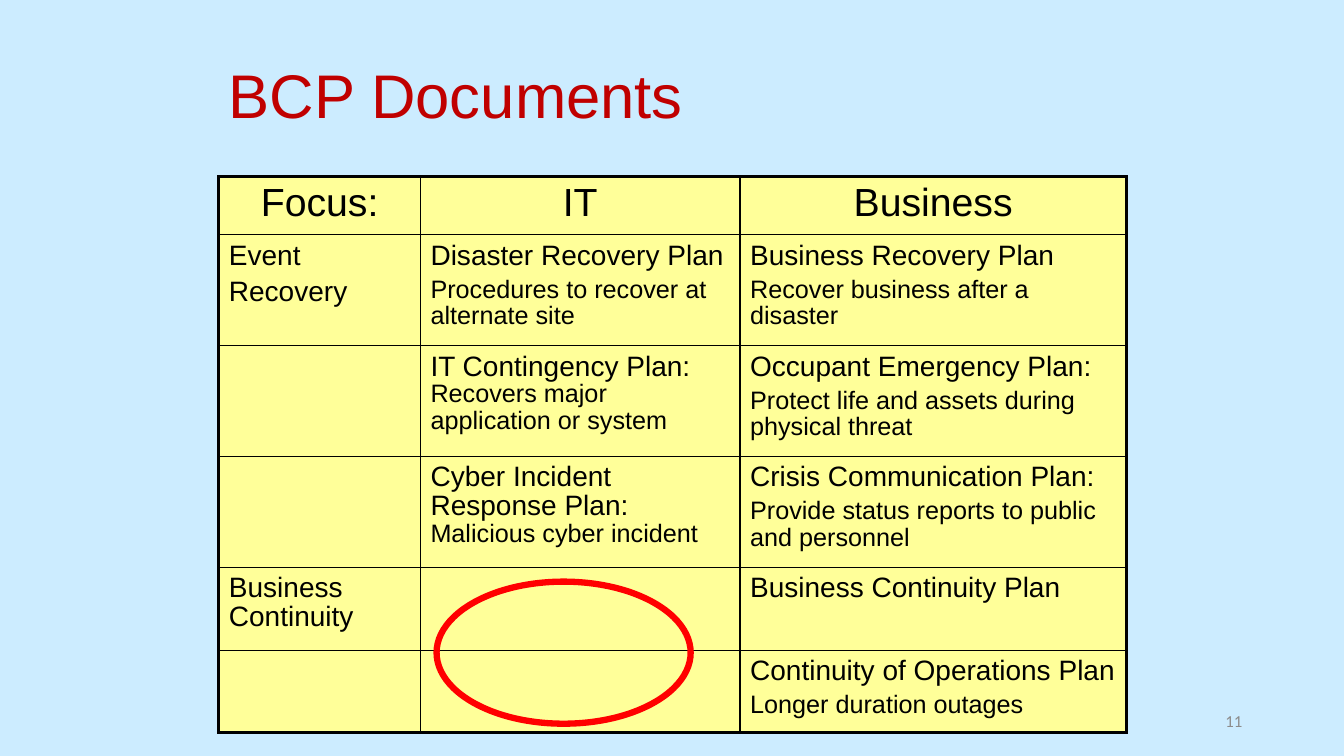
"""Build the BCP Documents slide: a table of plans by focus, with a highlight ring."""
from lxml.etree import SubElement
from pptx import Presentation
from pptx.dml.color import RGBColor
from pptx.enum.shapes import MSO_SHAPE
from pptx.enum.text import MSO_ANCHOR, PP_ALIGN
from pptx.oxml.ns import qn
from pptx.util import Inches, Pt

SKY = RGBColor(0xCC, 0xEC, 0xFF)
YELLOW = RGBColor(0xFF, 0xFF, 0x99)
BLACK = RGBColor(0, 0, 0)
CRIMSON = RGBColor(0xC0, 0, 0)
RED = RGBColor(0xFF, 0, 0)
GRAY = RGBColor(0x8C, 0x8C, 0x8C)

HEAD, PLAN, NOTE = 28, 20, 18
THIN, THICK = 1, 2.25
SPACE = {PLAN: 5, NOTE: 4.5}


def plan(name, note):
    return [[(name, PLAN)], [(note, NOTE)]]


ROWS = [
    [[[(name, HEAD)]] for name in ("Focus:", "IT", "Business")],
    [[[("Event", PLAN)], [("Recovery", PLAN)]],
     plan("Disaster Recovery Plan", "Procedures to recover at alternate site"),
     plan("Business Recovery Plan", "Recover business after a disaster")],
    [[],
     [[("IT Contingency Plan: ", PLAN), ("Recovers major application or system", NOTE)]],
     plan("Occupant Emergency Plan:", "Protect life and assets during physical threat")],
    [[],
     [[("Cyber Incident Response Plan: ", PLAN), ("Malicious cyber incident", NOTE)]],
     plan("Crisis Communication Plan:", "Provide status reports to public and personnel")],
    [[[("Business Continuity", PLAN)]], [], [[("Business Continuity Plan", PLAN)]]],
    [[], [], plan("Continuity of Operations Plan", "Longer duration outages")],
]
COLUMN_WIDTHS = [2, 3.17, 3.83]
ROW_HEIGHTS = [0.58, 1.1, 1.1, 1.1, 0.82, 0.82]
TABLE_LEFT, TABLE_TOP = 2.17, 1.75

LABELS = [
    ("BCP Documents", (2.17, 0.5, 9, 0.86), PP_ALIGN.LEFT,
     {"name": "Arial", "size": Pt(44)}, CRIMSON),
    ("11", (9.42, 6.95, 3, 0.4), PP_ALIGN.RIGHT,
     {"name": "Calibri", "size": Pt(12)}, GRAY),
]
RING = (4.33, 5.77, 2.52, 1.41)


def style(target, values):
    for name, value in values.items():
        setattr(target, name, value)


def add_run(p, text, font, color):
    r = p.add_run()
    r.text = text
    style(r.font, font)
    r.font.color.rgb = color


def add_label(slide, text, box, align, font, color):
    tf = slide.shapes.add_textbox(*map(Inches, box)).text_frame
    style(tf, {"word_wrap": True, "vertical_anchor": MSO_ANCHOR.MIDDLE})
    p = tf.paragraphs[0]
    p.alignment = align
    add_run(p, text, font, color)


def set_borders(cell, widths):
    tc_pr = cell._tc.get_or_add_tcPr()
    for i, (side, width) in enumerate(widths.items()):
        ln = SubElement(tc_pr, qn(f"a:ln{side}"), w=str(Pt(width)))
        fill = SubElement(ln, qn("a:solidFill"))
        SubElement(fill, qn("a:srgbClr"), val=str(BLACK))
        tc_pr.insert(i, ln)


def fill_cell(cell, paragraphs, is_head):
    style(cell, {"margin_left": Inches(0.1), "margin_right": Inches(0.1),
                 "margin_top": Inches(0.08 if is_head else 0.07),
                 "margin_bottom": Inches(0.05)})
    cell.fill.solid()
    cell.fill.fore_color.rgb = YELLOW
    tf = cell.text_frame
    for i, runs in enumerate(paragraphs):
        p = tf.add_paragraph() if i else tf.paragraphs[0]
        p.line_spacing = 0.93
        p.alignment = PP_ALIGN.CENTER if is_head else PP_ALIGN.LEFT
        if i:
            p.space_before = Pt(SPACE[runs[0][1]])
        for text, size in runs:
            add_run(p, text, {"name": "Arial", "size": Pt(size)}, BLACK)


def add_plan_table(slide):
    last_row, last_col = len(ROW_HEIGHTS) - 1, len(COLUMN_WIDTHS) - 1
    box = (TABLE_LEFT, TABLE_TOP, sum(COLUMN_WIDTHS), sum(ROW_HEIGHTS))
    table = slide.shapes.add_table(last_row + 1, last_col + 1, *map(Inches, box)).table
    style(table, {"first_row": False, "horz_banding": False})
    for column, width in zip(table.columns, COLUMN_WIDTHS):
        column.width = Inches(width)
    for i, (row, height) in enumerate(zip(table.rows, ROW_HEIGHTS)):
        row.height = Inches(height)
        for j, cell in enumerate(row.cells):
            fill_cell(cell, ROWS[i][j], i == 0)
            outer = {"L": j == 0, "R": j == last_col, "T": i == 0, "B": i == last_row}
            set_borders(cell, {side: THICK if edge else THIN
                               for side, edge in outer.items()})


def main():
    prs = Presentation()
    style(prs, {"slide_width": Inches(13.33), "slide_height": Inches(7.5)})
    s = prs.slides.add_slide(prs.slide_layouts[6])
    s.background.fill.solid()
    s.background.fill.fore_color.rgb = SKY
    add_plan_table(s)
    for label in LABELS:
        add_label(s, *label)
    ring = s.shapes.add_shape(MSO_SHAPE.OVAL, *map(Inches, RING))
    ring.shadow.inherit = False
    ring.fill.background()
    ring.line.color.rgb = RED
    ring.line.width = Pt(4.5)
    prs.save("out.pptx")


if __name__ == "__main__":
    main()
